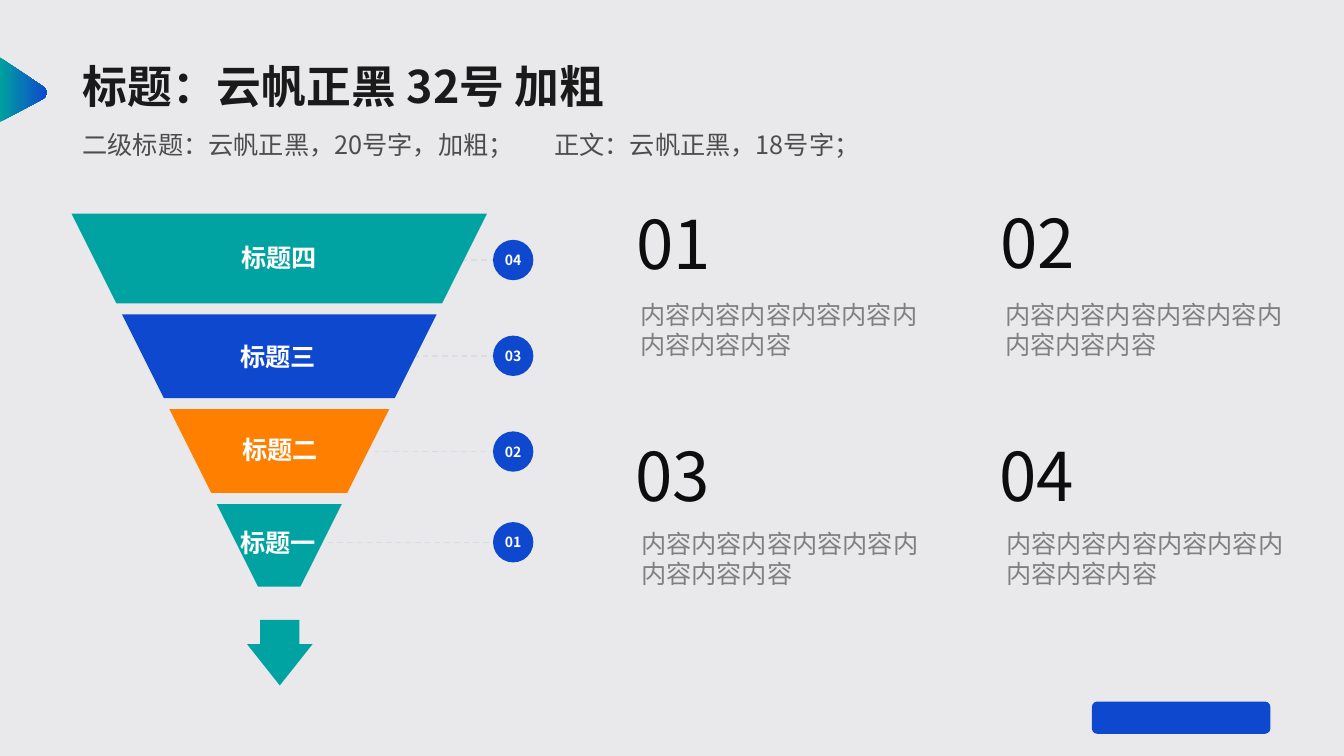
from lxml import etree
from pptx import Presentation
from pptx.dml.color import RGBColor
from pptx.enum.dml import MSO_LINE
from pptx.enum.shapes import MSO_CONNECTOR, MSO_SHAPE
from pptx.enum.text import MSO_ANCHOR as Anchor, MSO_AUTO_SIZE as AutoSize, PP_ALIGN as Align
from pptx.oxml.ns import qn
from pptx.util import Inches, Pt

FONT = "Noto Sans CJK SC"
BACKGROUND = RGBColor(0xE9, 0xE9, 0xEC)
TEAL = RGBColor(0x00, 0xA3, 0xA2)
MARKER_TEAL = RGBColor(0x00, 0xA0, 0xA0)
BLUE = RGBColor(0x0E, 0x48, 0xCE)
ORANGE = RGBColor(0xFF, 0x7F, 0x00)
DASH_GREY = RGBColor(0xD8, 0xDD, 0xE3)
WHITE = RGBColor(0xFF, 0xFF, 0xFF)
TITLE_INK = RGBColor(0x1A, 0x1A, 0x1A)
SUBTITLE_INK = RGBColor(0x4D, 0x4D, 0x4D)
NUMBER_INK = RGBColor(0x0D, 0x0D, 0x0D)
BODY_GREY = RGBColor(0x80, 0x80, 0x80)

deck = Presentation()
deck.slide_width, deck.slide_height = Inches(13.33), Inches(7.5)
page = deck.slides.add_slide(deck.slide_layouts[6])
page.background.fill.solid()
page.background.fill.fore_color.rgb = BACKGROUND


def write(box, text, size, color, bold=False, align=Align.LEFT, margin=None, **frame_format):
    """Put one styled paragraph into a box and return the paragraph."""
    frame = box.text_frame
    frame_format = {"word_wrap": True, **frame_format}
    if margin is not None:
        for side in ("left", "top", "right", "bottom"):
            frame_format[f"margin_{side}"] = Inches(margin)
    for name, value in frame_format.items():
        setattr(frame, name, value)
    para = frame.paragraphs[0]
    para.alignment = align
    span = para.add_run()
    span.text = text
    for name, value in {"size": Pt(size), "bold": bold, "name": FONT}.items():
        setattr(span.font, name, value)
    span.font.color.rgb = color
    etree.SubElement(span._r.get_or_add_rPr(), qn("a:ea"), typeface=FONT)
    return para


def paint(shape, color):
    """Give a shape a plain fill without outline or shadow."""
    shape.shadow.inherit = False
    shape.line.fill.background()
    shape.fill.solid()
    shape.fill.fore_color.rgb = color


# Plain block at the bottom right corner
corner_block = page.shapes.add_shape(
    MSO_SHAPE.ROUNDED_RECTANGLE, Inches(10.83), Inches(6.96), Inches(1.77), Inches(0.32))
paint(corner_block, BLUE)

# Gradient marker beside the title
tip = [(0.43, 0.86), (0.46, 0.89), (0.47, 0.92), (0.46, 0.95), (0.43, 0.98), (0, 1.21)]
outline = page.shapes.build_freeform(0, Inches(0.57))
outline.add_line_segments([(Inches(x), Inches(y)) for x, y in tip])
marker = outline.convert_to_shape()
paint(marker, MARKER_TEAL)
marker.fill.gradient()
marker.fill.gradient_angle = 0
for stop, color, position in zip(marker.fill.gradient_stops, (MARKER_TEAL, BLUE), (0, 1)):
    stop.color.rgb = color
    stop.position = position

# Dashed leaders, drawn first so that funnel and badges cover their ends
# label, label left, label top, top, bottom, colour, badge, badge middle, leader start, leader end
levels = [
    ("标题四", 2.28, 2.36, 2.12, 3.01, TEAL, "04", 2.58, 4.0, 4.95),
    ("标题三", 2.27, 3.34, 3.12, 3.95, BLUE, "03", 3.53, 4.0, 4.95),
    ("标题二", 2.29, 4.26, 4.06, 4.89, ORANGE, "02", 4.48, 3.32, 5.06),
    ("标题一", 2.27, 5.18, 5.0, 5.82, TEAL, "01", 5.38, 2.96, 5.06),
]
for *_, middle, start, end in levels:
    leader = page.shapes.add_connector(
        MSO_CONNECTOR.STRAIGHT, Inches(start), Inches(middle), Inches(end), Inches(middle))
    leader.line.color.rgb = DASH_GREY
    leader.line.width = Pt(1)
    leader.line.dash_style = MSO_LINE.DASH
    etree.SubElement(leader._element.spPr, qn("a:effectLst"))

# Funnel levels with labels and number badges
CENTER, HALF_WIDTH, FUNNEL_TOP, BADGE = 2.77, 2.06, 2.12, 0.4
for label, label_left, label_top, top, bottom, color, number, middle, *_ in levels:
    wide, narrow = (HALF_WIDTH - (y - FUNNEL_TOP) / 2 for y in (top, bottom))
    outline = page.shapes.build_freeform(Inches(CENTER - wide), Inches(top))
    outline.add_line_segments([
        (Inches(CENTER - narrow), Inches(bottom)),
        (Inches(CENTER + narrow), Inches(bottom)),
        (Inches(CENTER + wide), Inches(top)),
    ])
    paint(outline.convert_to_shape(), color)

    badge = page.shapes.add_shape(
        MSO_SHAPE.OVAL, Inches(4.89), Inches(middle - BADGE / 2), Inches(BADGE), Inches(BADGE))
    paint(badge, BLUE)
    write(badge, number, 10, WHITE, True, Align.CENTER, 0.06, vertical_anchor=Anchor.MIDDLE)

    box = page.shapes.add_textbox(Inches(label_left), Inches(label_top), Inches(0.98), Inches(0.4))
    write(box, label, 18, WHITE, True, Align.CENTER,
          word_wrap=False, auto_size=AutoSize.SHAPE_TO_FIT_TEXT)

# Arrow under the funnel
arrow = page.shapes.add_shape(
    MSO_SHAPE.DOWN_ARROW, Inches(2.45), Inches(6.15), Inches(0.65), Inches(0.65))
arrow.adjustments[0], arrow.adjustments[1] = 0.6, 0.63
paint(arrow, TEAL)

# Numbered content blocks: number left, number top, body left, body top
blocks = [
    (6.27, 1.97, 6.25, 2.92),
    (9.88, 1.96, 9.87, 2.92),
    (6.26, 4.27, 6.26, 5.19),
    (9.87, 4.27, 9.88, 5.19),
]
for index, (number_left, number_top, body_left, body_top) in enumerate(blocks, 1):
    box = page.shapes.add_textbox(
        Inches(number_left), Inches(number_top), Inches(2.75), Inches(0.81))
    write(box, f"{index:02}", 48, NUMBER_INK, margin=0.04)
    box = page.shapes.add_textbox(Inches(body_left), Inches(body_top), Inches(2.99), Inches(0.71))
    write(box, "内容内容内容内容内容内内容内容内容", 18, BODY_GREY,
          auto_size=AutoSize.SHAPE_TO_FIT_TEXT)

# Title and subtitle
box = page.shapes.add_textbox(Inches(0.72), Inches(0.53), Inches(6.12), Inches(0.64))
write(box, "标题：云帆正黑 32号 加粗", 32, TITLE_INK, True, auto_size=AutoSize.SHAPE_TO_FIT_TEXT)
box = page.shapes.add_textbox(Inches(0.72), Inches(1.19), Inches(9.26), Inches(0.42))
para = write(box, "二级标题：云帆正黑，20号字，加粗；\t正文：云帆正黑，18号字；", 18, SUBTITLE_INK,
             auto_size=AutoSize.SHAPE_TO_FIT_TEXT)
para.line_spacing = Pt(25)
tabs = etree.SubElement(para._p.get_or_add_pPr(), qn("a:tabLst"))
etree.SubElement(tabs, qn("a:tab"), pos=str(Inches(4.68)), algn="l")

deck.save("out.pptx")
